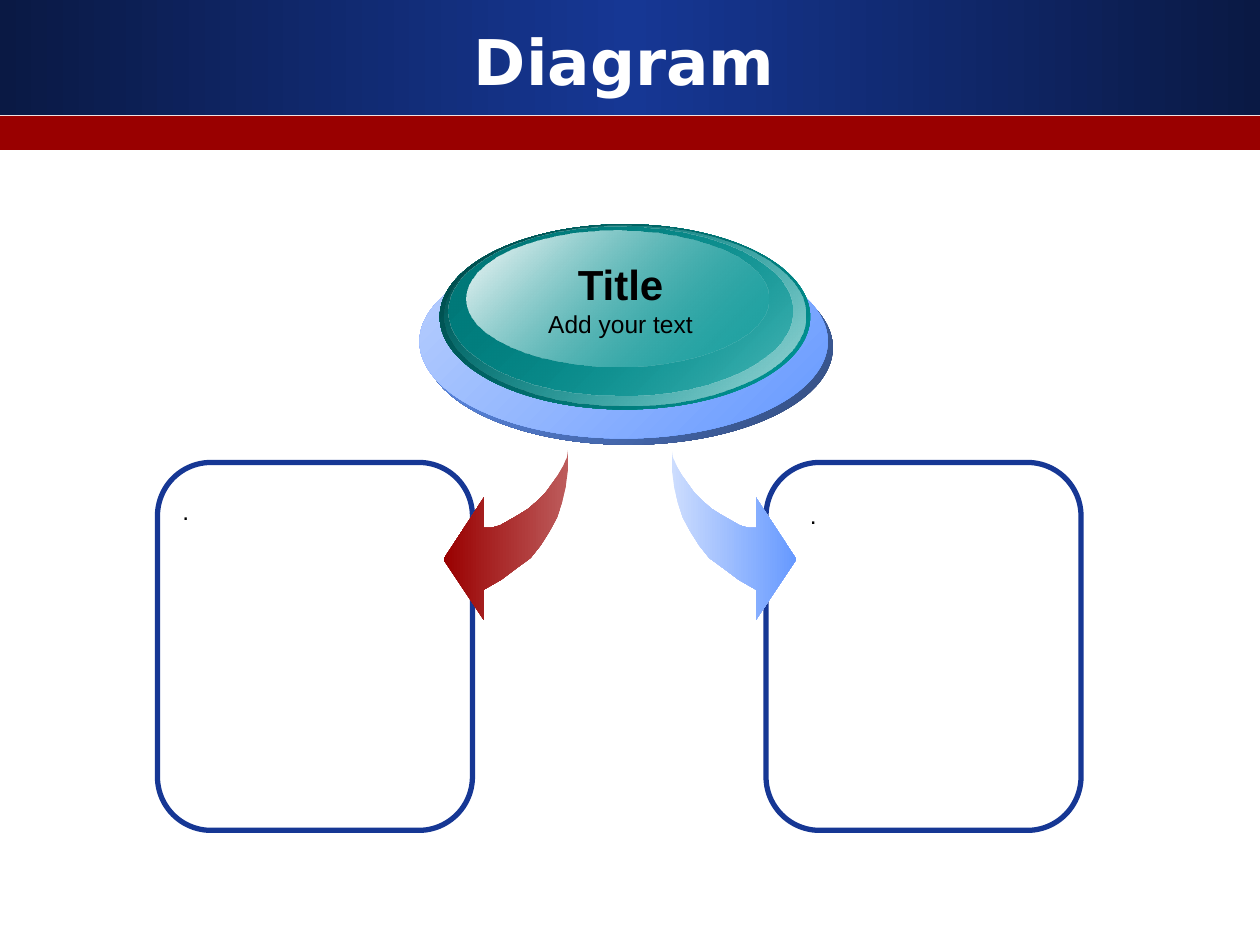
from dataclasses import dataclass

from pptx import Presentation
from pptx.dml.color import RGBColor
from pptx.enum.shapes import MSO_SHAPE
from pptx.enum.text import MSO_ANCHOR, PP_ALIGN
from pptx.oxml import parse_xml
from pptx.oxml.ns import nsdecls, qn
from pptx.util import Inches, Pt


@dataclass(frozen=True)
class Theme:
    navy: str = "163794"
    dark_navy: str = "0A1944"
    red: str = "990000"
    light_red: str = "BD5C5C"
    blue: str = "6699FF"
    dark_blue: str = "314A7B"
    soft_blue: str = "BAD0FE"
    pale_blue: str = "CDDDFE"
    teal: str = "009999"
    dark_teal: str = "004646"
    mid_teal: str = "007878"
    pale_teal: str = "A5DADA"
    white: str = "FFFFFF"
    gleam: str = "FEFEFE"
    black: str = "000000"
    heading_font: str = "DejaVu Sans"
    body_font: str = "Arial"
    heading_size: int = 36
    label_size: int = 24
    body_size: int = 14


theme = Theme()

heading = "Diagram"
badge_lines = [("Title", theme.label_size, True), ("Add your text", theme.body_size, False)]
panels = [
    {"left": 1.25, "text": ".", "text_at": (1.35, 3.89)},
    {"left": 6.08, "text": ".", "text_at": (6.33, 3.92)},
]
arrows = [
    {"tail_x": 4.51, "direction": -1, "colors": (theme.light_red, theme.red), "angle": 180},
    {"tail_x": 5.33, "direction": 1, "colors": (theme.pale_blue, theme.blue), "angle": 0},
]
arrow_top = 3.56
arrow_outline = [
    (0, 0), (0, 0.15), (0.02, 0.3), (0.05, 0.43), (0.09, 0.55), (0.15, 0.66),
    (0.22, 0.77), (0.3, 0.87), (0.41, 0.95), (0.53, 1.04), (0.67, 1.12),
    (0.67, 1.36), (0.99, 0.88), (0.67, 0.39), (0.67, 0.63), (0.61, 0.63),
    (0.54, 0.61), (0.47, 0.57), (0.4, 0.53), (0.32, 0.48), (0.25, 0.42),
    (0.18, 0.35), (0.13, 0.28), (0.08, 0.21), (0.04, 0.14), (0.01, 0.07),
]
badge_layers = [
    ((3.37, 1.99, 3.24, 1.54), (theme.dark_blue, 100), (theme.blue, 100)),
    ((3.33, 1.94, 3.24, 1.54), (theme.blue, 100), (theme.soft_blue, 100)),
    ((3.49, 1.78, 2.94, 1.47), (theme.teal, 100), (theme.dark_teal, 100)),
    ((3.53, 1.79, 2.86, 1.43), (theme.pale_teal, 100), (theme.teal, 0)),
    ((3.56, 1.8, 2.73, 1.34), (theme.teal, 48), (theme.mid_teal, 100)),
    ((3.7, 1.83, 2.4, 1.08), (theme.teal, 38), (theme.gleam, 100)),
]


def fill_gradient(shape, stops, angle):
    shape.fill.background()
    step = 100000 // (len(stops) - 1)
    stop_xml = "".join(
        f'<a:gs pos="{index * step}"><a:srgbClr val="{color}">'
        f'<a:alpha val="{opacity * 1000}"/></a:srgbClr></a:gs>'
        for index, (color, opacity) in enumerate(stops)
    )
    gradient = parse_xml(
        f'<a:gradFill {nsdecls("a")} rotWithShape="1"><a:gsLst>{stop_xml}</a:gsLst>'
        f'<a:lin ang="{angle * 60000}" scaled="0"/></a:gradFill>'
    )
    properties = shape.element.spPr
    properties.replace(properties.find(qn("a:noFill")), gradient)


def add_plain_shape(preset, box):
    shape = slide.shapes.add_shape(preset, *map(Inches, box))
    shape.shadow.inherit = False
    shape.line.fill.background()
    return shape


def style_paragraph(paragraph, size, color, font=theme.body_font, bold=False):
    paragraph.font.name = font
    paragraph.font.size = Pt(size)
    paragraph.font.bold = bold
    paragraph.font.color.rgb = RGBColor.from_string(color)


def add_text(box, lines, align, wrap):
    frame = slide.shapes.add_textbox(*map(Inches, box)).text_frame
    frame.word_wrap = wrap
    frame.text = "\n".join(text for text, _, _ in lines)
    for paragraph, (_, size, bold) in zip(frame.paragraphs, lines):
        paragraph.alignment = align
        style_paragraph(paragraph, size, theme.black, bold=bold)


presentation = Presentation()
presentation.slide_width, presentation.slide_height = Inches(10), Inches(7.5)
slide = presentation.slides.add_slide(presentation.slide_layouts[5])

banner = add_plain_shape(MSO_SHAPE.RECTANGLE, (0, 0, 10, 0.91))
fill_gradient(banner, [(c, 100) for c in (theme.dark_navy, theme.navy, theme.dark_navy)], 180)
stripe = add_plain_shape(MSO_SHAPE.RECTANGLE, (0, 0.92, 10, 0.27))
stripe.fill.solid()
stripe.fill.fore_color.rgb = RGBColor.from_string(theme.red)

title = slide.shapes.title
stripe.element.addnext(title.element)
title.left, title.top, title.width, title.height = map(Inches, (0.33, 0.17, 9.25, 0.62))
title.text_frame.text = heading
title.text_frame.vertical_anchor = MSO_ANCHOR.MIDDLE
title.text_frame.paragraphs[0].alignment = PP_ALIGN.CENTER
style_paragraph(
    title.text_frame.paragraphs[0], theme.heading_size, theme.white, theme.heading_font, True
)

for panel in panels:
    frame = add_plain_shape(MSO_SHAPE.ROUNDED_RECTANGLE, (panel["left"], 3.67, 2.5, 2.92))
    frame.adjustments[0] = 0.17
    frame.fill.background()
    frame.line.color.rgb = RGBColor.from_string(theme.navy)
    frame.line.width = Pt(3)
    add_text(
        (*panel["text_at"], 2.23, 0.34),
        [(panel["text"], theme.body_size, False)], PP_ALIGN.LEFT, True,
    )

for arrow in arrows:
    points = [
        (Inches(arrow["tail_x"] + arrow["direction"] * x), Inches(arrow_top + y))
        for x, y in arrow_outline
    ]
    builder = slide.shapes.build_freeform(*points[0])
    builder.add_line_segments(points[1:], close=True)
    curve = builder.convert_to_shape()
    curve.shadow.inherit = False
    curve.line.fill.background()
    fill_gradient(curve, [(color, 100) for color in arrow["colors"]], arrow["angle"])

for box, *stops in badge_layers:
    fill_gradient(add_plain_shape(MSO_SHAPE.OVAL, box), stops, 225)
add_text((4.25, 2, 1.35, 0.74), badge_lines, PP_ALIGN.CENTER, False)

presentation.save("out.pptx")
